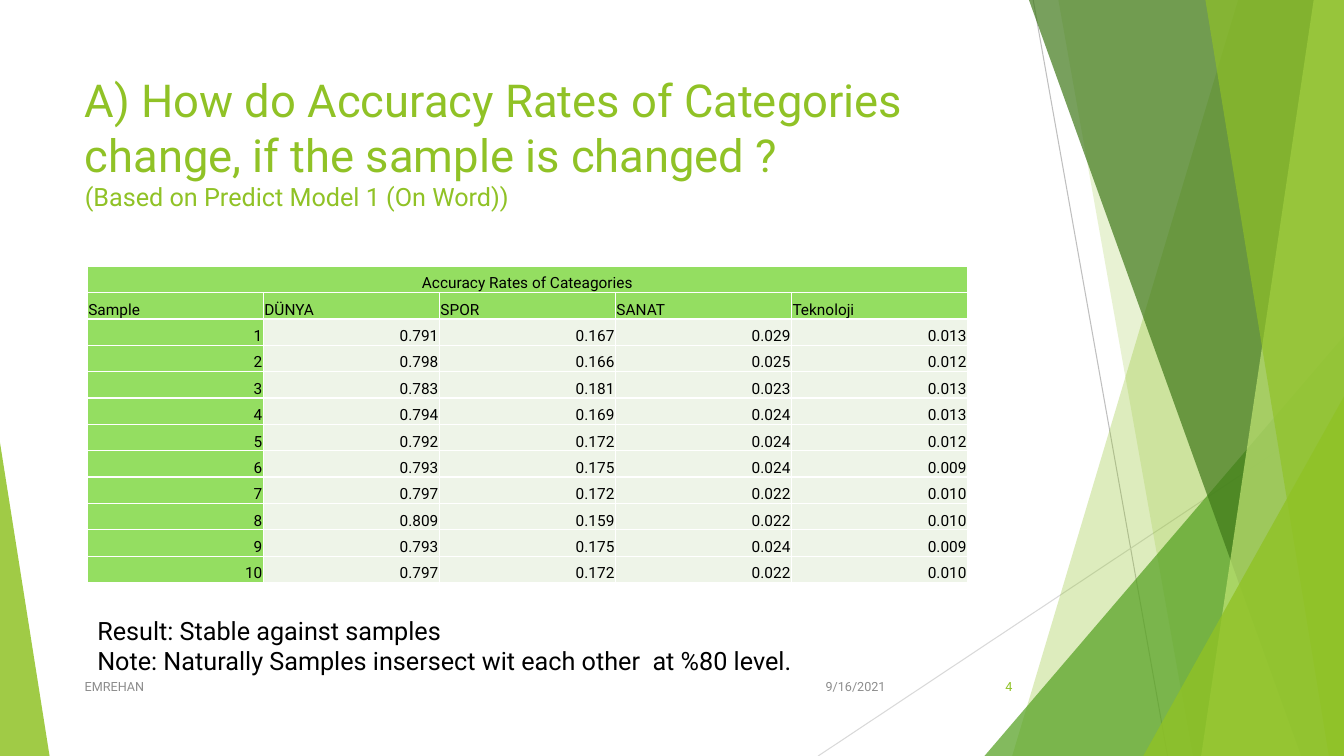
"""Build the slide on accuracy rates of categories across ten samples."""
from dataclasses import dataclass

from lxml import etree
from pptx import Presentation
from pptx import util as u
from pptx.dml.color import RGBColor
from pptx.enum import shapes, text
from pptx.oxml.ns import qn

Align, Anchor = text.PP_ALIGN, text.MSO_ANCHOR
COLS, ROWS = 160, 90
CELL = u.Inches(7.5) // ROWS


@dataclass(frozen=True)
class Theme:
    font: str = "Roboto"
    green: str = "90C226"
    mid_green: str = "54A021"
    dark_green: str = "3F7819"
    pale_green: str = "C0E474"
    head_fill: str = "94DE61"
    body_fill: str = "EEF4E8"
    white: str = "FFFFFF"
    black: str = "000000"
    grey: str = "8C8C8C"
    rule: str = "BFBFBF"
    pale_rule: str = "D9D9D9"
    title: float = 32.4
    body: float = 18
    table: float = 11
    footer: float = 9
    rule_width: float = 0.75
    border_width: float = 1


T = Theme()


@dataclass(frozen=True)
class Box:
    left: float
    top: float
    width: float
    height: float

    def emu(self) -> tuple:
        return tuple(grid(v) for v in (self.left, self.top, self.width, self.height))


@dataclass(frozen=True)
class Rule:
    x1: float
    y1: float
    x2: float
    y2: float
    color: str


@dataclass(frozen=True)
class Band:
    top_x: float
    bottom_x: float
    color: str
    opacity: int


@dataclass(frozen=True)
class Wedge:
    box: Box
    apex: float
    color: str
    opacity: int


@dataclass(frozen=True)
class Label:
    box: Box
    lines: tuple
    size: float
    color: str
    align: Align = Align.LEFT
    anchor: Anchor = Anchor.MIDDLE


RULES = (
    Rule(123, 0, 139, ROWS, T.rule),
    Rule(COLS, 48.4, 97.4, ROWS, T.pale_rule),
)
FACETS = (
    Band(147.4, 120.5, T.green, 30),
    Band(126, 142, T.green, 20),
    Wedge(Box(117.2, 40, 42.8, 50), 1, T.mid_green, 72),
    Band(122.5, 154.9, T.dark_green, 70),
    Band(156.4, 143, T.pale_green, 70),
    Band(143.5, 158.2, T.green, 65),
    Wedge(Box(136.1, 47.2, 23.9, 42.8), 1, T.green, 80),
    Wedge(Box(0, 52.7, 5.9, 37.3), 0, T.green, 85),
)
LABELS = (
    Label(Box(94.6, 79.3, 12, 4.8), ("9/16/2021",), T.footer, T.grey, Align.RIGHT),
    Label(Box(8.9, 79.3, 82.7, 4.8), ("EMREHAN",), T.footer, T.grey),
    Label(Box(112.7, 79.3, 9, 4.8), ("4",), T.footer, T.green, Align.RIGHT),
    Label(Box(10.4, 72.6, 104.8, 8.5),
          ("Result: Stable against samples",
           "Note: Naturally Samples insersect wit each other  at %80 level."),
          T.body, T.black, anchor=Anchor.TOP),
)
TITLE_BOX = Box(8.9, 8, 112.8, 17.3)
TABLE_BOX = Box(10.4, 31.7, 104.8, 37.7)
TABLE_TITLE = "Accuracy Rates of Cateagories"
HEADERS = ("Sample", "DÜNYA", "SPOR", "SANAT", "Teknoloji")
RATES = (
    (0.791, 0.167, 0.029, 0.013),
    (0.798, 0.166, 0.025, 0.012),
    (0.783, 0.181, 0.023, 0.013),
    (0.794, 0.169, 0.024, 0.013),
    (0.792, 0.172, 0.024, 0.012),
    (0.793, 0.175, 0.024, 0.009),
    (0.797, 0.172, 0.022, 0.010),
    (0.809, 0.159, 0.022, 0.010),
    (0.793, 0.175, 0.024, 0.009),
    (0.797, 0.172, 0.022, 0.010),
)


def grid(cells: float) -> u.Emu:
    return u.Emu(round(cells * CELL))


def rgb(color: str) -> RGBColor:
    return RGBColor.from_string(color)


def add_run(p, words: str, size: float, color: str) -> None:
    r = p.add_run()
    r.text = words
    r.font.name, r.font.size = T.font, u.Pt(size)
    r.font.color.rgb = rgb(color)


def draw_rule(s, rule: Rule) -> None:
    ends = (grid(v) for v in (rule.x1, rule.y1, rule.x2, rule.y2))
    line = s.shapes.add_connector(shapes.MSO_CONNECTOR.STRAIGHT, *ends)
    line.line.color.rgb, line.line.width = rgb(rule.color), u.Pt(T.rule_width)
    etree.SubElement(line._element.spPr, qn("a:effectLst"))


def draw_facet(s, facet: Band | Wedge) -> None:
    if isinstance(facet, Band):
        outline = s.shapes.build_freeform(grid(facet.top_x), 0)
        corners = ((COLS, 0), (COLS, ROWS), (facet.bottom_x, ROWS))
        outline.add_line_segments([(grid(x), grid(y)) for x, y in corners])
        sp = outline.convert_to_shape()
    else:
        kind = shapes.MSO_SHAPE.ISOSCELES_TRIANGLE
        sp = s.shapes.add_shape(kind, *facet.box.emu())
        sp.adjustments[0] = facet.apex
    sp.shadow.inherit = False
    sp.line.fill.background()
    sp.fill.solid()
    sp.fill.fore_color.rgb = rgb(facet.color)
    color = sp._element.spPr.find(f"{qn('a:solidFill')}/{qn('a:srgbClr')}")
    etree.SubElement(color, qn("a:alpha"), val=str(facet.opacity * 1000))


def draw_title(s) -> None:
    sp = s.shapes.title
    s.shapes._spTree.append(sp._element)
    sp.left, sp.top, sp.width, sp.height = TITLE_BOX.emu()
    tf = sp.text_frame
    tf.word_wrap, tf.vertical_anchor = True, Anchor.TOP
    tf.auto_size = text.MSO_AUTO_SIZE.NONE
    p = tf.paragraphs[0]
    p.alignment = Align.LEFT
    add_run(p, "A) How do Accuracy Rates of Categories change, if the sample is changed ?",
            T.title, T.green)
    p.add_line_break()
    add_run(p, "(Based on Predict Model 1 (On Word))", T.body, T.green)


def draw_label(s, label: Label) -> None:
    tf = s.shapes.add_textbox(*label.box.emu()).text_frame
    tf.word_wrap, tf.vertical_anchor = True, label.anchor
    for i, words in enumerate(label.lines):
        p = tf.add_paragraph() if i else tf.paragraphs[0]
        p.alignment = label.align
        add_run(p, words, label.size, label.color)


def style_cell(cell, words: str, fill: str, align: Align) -> None:
    cell.margin_left = cell.margin_right = cell.margin_top = u.Inches(0.01)
    cell.margin_bottom = 0
    cell.vertical_anchor = Anchor.BOTTOM
    tc_pr = cell._tc.get_or_add_tcPr()
    for side in ("lnL", "lnR", "lnT", "lnB"):
        ln = etree.SubElement(tc_pr, qn(f"a:{side}"), w=str(u.Pt(T.border_width)))
        solid = etree.SubElement(ln, qn("a:solidFill"))
        etree.SubElement(solid, qn("a:srgbClr"), val=T.white)
    cell.fill.solid()
    cell.fill.fore_color.rgb = rgb(fill)
    p = cell.text_frame.paragraphs[0]
    p.alignment = align
    if words:
        add_run(p, words, T.table, T.black)


def draw_table(s) -> None:
    samples = [(str(n), *(f"{v:.3f}" for v in rates)) for n, rates in enumerate(RATES, 1)]
    rows = [(TABLE_TITLE, *[""] * (len(HEADERS) - 1)), HEADERS, *samples]
    table = s.shapes.add_table(len(rows), len(HEADERS), *TABLE_BOX.emu()).table
    table.first_row = table.horz_banding = False
    for i, row in enumerate(rows):
        align = (Align.CENTER, Align.LEFT)[i] if i < 2 else Align.RIGHT
        for j, words in enumerate(row):
            fill = T.head_fill if i < 2 or j == 0 else T.body_fill
            style_cell(table.cell(i, j), words, fill, align)
    table.cell(0, 0).merge(table.cell(0, len(HEADERS) - 1))


def main() -> None:
    prs = Presentation()
    prs.slide_width, prs.slide_height = grid(COLS), grid(ROWS)
    s = prs.slides.add_slide(prs.slide_layouts[5])
    for rule in RULES:
        draw_rule(s, rule)
    for facet in FACETS:
        draw_facet(s, facet)
    draw_title(s)
    draw_table(s)
    for label in LABELS:
        draw_label(s, label)
    prs.save("out.pptx")


if __name__ == "__main__":
    main()
